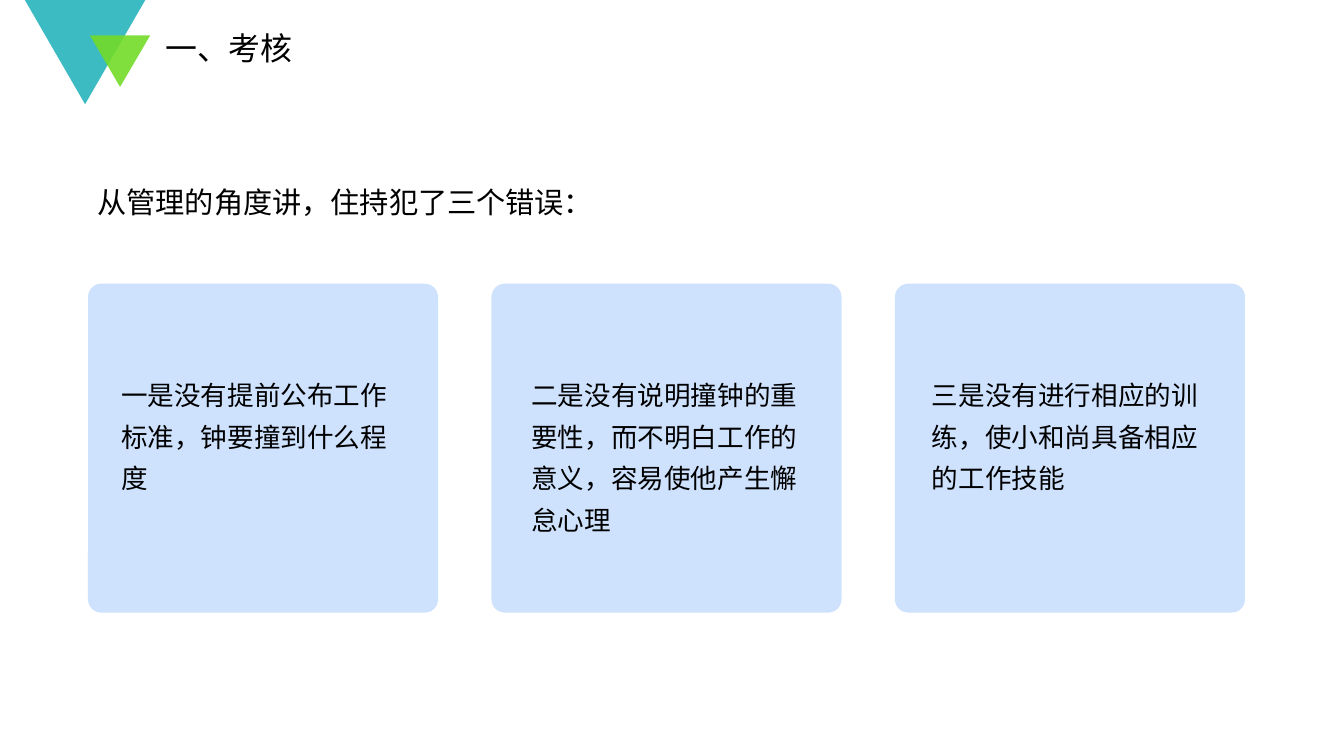
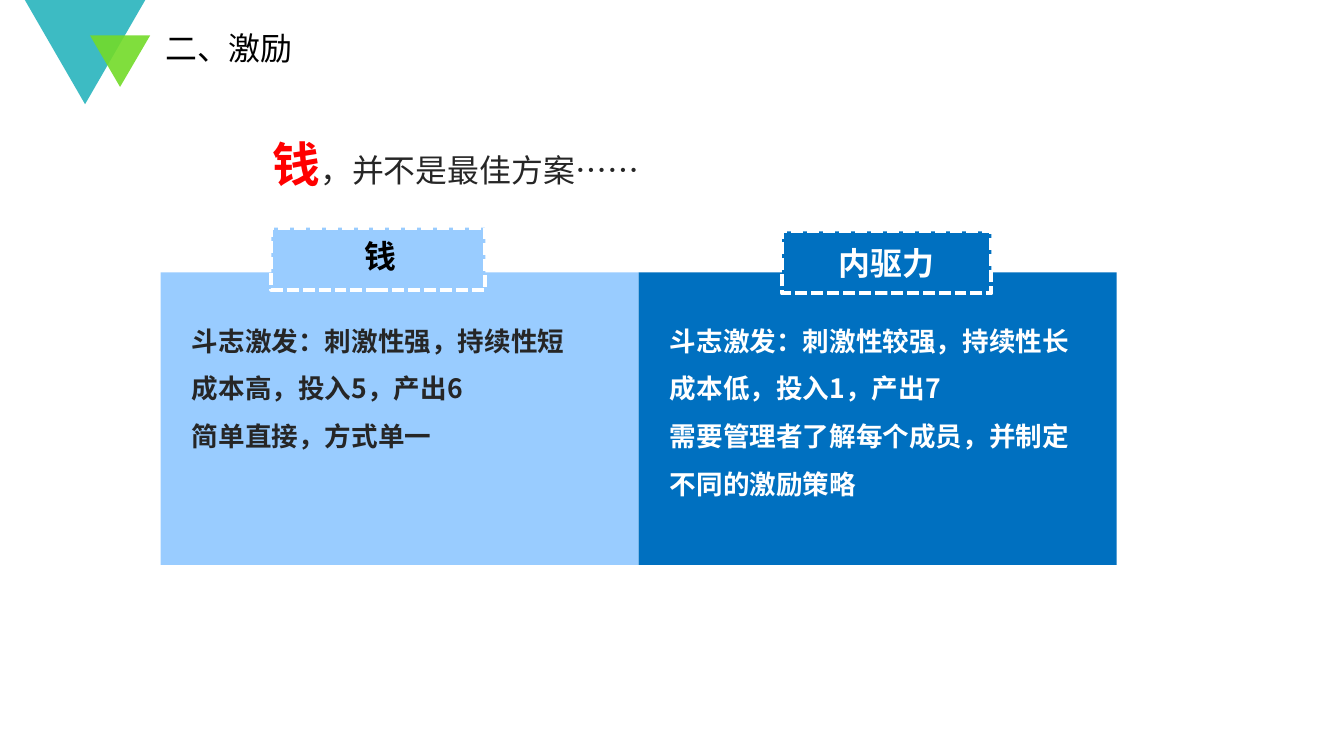
from dataclasses import dataclass

from lxml.etree import SubElement
from pptx import Presentation
from pptx.dml.color import RGBColor
from pptx.enum.dml import MSO_LINE_DASH_STYLE as Dash
from pptx.enum.shapes import MSO_SHAPE as Preset
from pptx.enum.text import MSO_ANCHOR as Anchor
from pptx.enum.text import MSO_AUTO_SIZE as AutoSize
from pptx.enum.text import PP_ALIGN as Align
from pptx.oxml.ns import qn
from pptx.shapes.autoshape import Shape
from pptx.slide import Slide
from pptx.util import Cm, Pt

CJK_FONT = "Noto Sans CJK SC"
BLACK, WHITE, DARK, RED = "000000", "FFFFFF", "262626", "FF0000"
TEAL, GREEN = "29B4BD", "73DB29"
CARD_BLUE, LIGHT_BLUE, DEEP_BLUE = "CEE2FE", "99CCFF", "0070C0"
CARD_LEFT, CARD_STEP = 2.34, 10.72
PANEL_LEFT, PANEL_TOP, PANEL_WIDTH, PANEL_HEIGHT = 4.27, 7.24, 12.7, 7.77


@dataclass(frozen=True)
class Box:
    """A rectangle measured in centimetres."""

    left: float
    top: float
    width: float
    height: float

    def lengths(self) -> tuple[Cm, Cm, Cm, Cm]:
        """Return the four measures as lengths."""
        return Cm(self.left), Cm(self.top), Cm(self.width), Cm(self.height)


@dataclass(frozen=True)
class Run:
    """A stretch of text with one format."""

    text: str
    size: float
    color: str = BLACK
    bold: bool = False
    font: str = CJK_FONT


@dataclass(frozen=True)
class Card:
    """The text of one card and where it stands."""

    text: str
    text_left: float
    text_height: float


@dataclass(frozen=True)
class Panel:
    """One side of the comparison with its label."""

    fill: str
    label: str
    label_color: str
    label_box: Box
    label_text_box: Box
    lines: tuple[str, ...]
    text_color: str
    text_height: float


CARDS = (
    Card("一是没有提前公布工作标准，钟要撞到什么程度", 2.97, 3.58),
    Card("二是没有说明撞钟的重要性，而不明白工作的意义，容易使他产生懈怠心理", 13.87, 4.7),
    Card("三是没有进行相应的训练，使小和尚具备相应的工作技能", 24.51, 3.58),
)
PANELS = (
    Panel(
        LIGHT_BLUE, "钱", BLACK,
        Box(7.21, 6.05, 5.69, 1.65), Box(7.47, 6.17, 5.26, 1.27),
        ("斗志激发：刺激性强，持续性短", "成本高，投入5，产出6", "简单直接，方式单一"),
        DARK, 3.96,
    ),
    Panel(
        DEEP_BLUE, "内驱力", WHITE,
        Box(20.78, 6.15, 5.56, 1.65), Box(20.78, 6.35, 5.56, 1.27),
        ("斗志激发：刺激性较强，持续性长", "成本低，投入1，产出7",
         "需要管理者了解每个成员，并制定不同的激励策略"),
        WHITE, 5.23,
    ),
)


def rgb(color: str) -> RGBColor:
    """Turn a hex string into a colour."""
    return RGBColor.from_string(color)


def add_block(slide: Slide, preset: Preset, box: Box, fill: str) -> Shape:
    """Add a plain filled shape without outline or shadow."""
    shape = slide.shapes.add_shape(preset, *box.lengths())
    shape.shadow.inherit = False
    shape.fill.solid()
    shape.fill.fore_color.rgb = rgb(fill)
    shape.line.fill.background()
    return shape


def add_text(
    slide: Slide,
    box: Box,
    paragraphs: list[list[Run]],
    *,
    align: Align = Align.LEFT,
    anchor: Anchor = Anchor.TOP,
    spacing: float | None = None,
    inset: bool = True,
) -> None:
    """Add a wrapping text box made of formatted runs."""
    frame = slide.shapes.add_textbox(*box.lengths()).text_frame
    frame.word_wrap = True
    frame.auto_size = AutoSize.SHAPE_TO_FIT_TEXT
    frame.vertical_anchor = anchor
    if not inset:
        frame.margin_left = frame.margin_right = Cm(0)
        frame.margin_top = frame.margin_bottom = Cm(0)
    for index, runs in enumerate(paragraphs):
        paragraph = frame.add_paragraph() if index else frame.paragraphs[0]
        paragraph.alignment = align
        paragraph.line_spacing = spacing
        for item in runs:
            run = paragraph.add_run()
            run.text = item.text
            run.font.size = Pt(item.size)
            run.font.bold = item.bold
            run.font.name = item.font
            run.font.color.rgb = rgb(item.color)
            SubElement(run.font._element, qn("a:ea"), typeface=CJK_FONT)


def add_triangle(slide: Slide, box: Box, fill: str) -> None:
    """Add a slightly transparent triangle that points down."""
    shape = add_block(slide, Preset.ISOSCELES_TRIANGLE, box, fill)
    shape.rotation = 180
    color = shape._element.spPr.find(qn("a:solidFill")).find(qn("a:srgbClr"))
    SubElement(color, qn("a:alpha"), val="90000")


def add_titled_slide(presentation: Presentation, title: str) -> Slide:
    """Add a blank slide with the shared corner and title."""
    slide = presentation.slides.add_slide(presentation.slide_layouts[6])
    add_triangle(slide, Box(0.66, 0, 3.2, 2.77), TEAL)
    add_triangle(slide, Box(2.39, 0.94, 1.6, 1.37), GREEN)
    add_text(
        slide, Box(4.39, 0.76, 27.76, 1.02), [[Run(title, 24, font="Arial")]],
        anchor=Anchor.MIDDLE, inset=False,
    )
    return slide


def build_assessment(presentation: Presentation) -> None:
    """Build the slide with the three mistakes."""
    slide = add_titled_slide(presentation, "一、考核")
    add_text(
        slide, Box(2.34, 4.78, 20.35, 1.19),
        [[Run("从管理的角度讲，住持犯了三个错误：", 22)]],
    )
    for index, card in enumerate(CARDS):
        card_box = Box(CARD_LEFT + index * CARD_STEP, 7.54, 9.3, 8.74)
        block = add_block(slide, Preset.ROUNDED_RECTANGLE, card_box, CARD_BLUE)
        block.adjustments[0] = 0.04
        text_box = Box(card.text_left, 9.7, 7.65, card.text_height)
        add_text(slide, text_box, [[Run(card.text, 20)]], spacing=1.3)


def add_panel(slide: Slide, panel: Panel, left: float) -> None:
    """Add one side of the comparison with its dashed label."""
    panel_box = Box(left, PANEL_TOP, PANEL_WIDTH, PANEL_HEIGHT)
    add_block(slide, Preset.RECTANGLE, panel_box, panel.fill)
    label = add_block(slide, Preset.RECTANGLE, panel.label_box, panel.fill)
    label.line.color.rgb = rgb(WHITE)
    label.line.width = Pt(3)
    label.line.dash_style = Dash.SQUARE_DOT
    add_text(
        slide, panel.label_text_box,
        [[Run(panel.label, 24, panel.label_color, True)]], align=Align.CENTER,
    )
    add_text(
        slide, Box(left + 0.58, 8.08, 11.61, panel.text_height),
        [[Run(line, 20, panel.text_color, True)] for line in panel.lines],
        spacing=1.5,
    )


def build_motivation(presentation: Presentation) -> None:
    """Build the slide that compares money with inner drive."""
    slide = add_titled_slide(presentation, "二、激励")
    for index, panel in enumerate(PANELS):
        add_panel(slide, panel, PANEL_LEFT + index * PANEL_WIDTH)
    add_text(
        slide, Box(6.99, 3.45, 15.47, 1.8),
        [[Run("钱", 36, RED, True), Run("，并不是最佳方案……", 24, DARK)]],
    )


def main() -> None:
    """Build and save the presentation."""
    presentation = Presentation()
    presentation.slide_width = Cm(35.71)
    presentation.slide_height = Cm(20.09)
    build_assessment(presentation)
    build_motivation(presentation)
    presentation.save("out.pptx")


if __name__ == "__main__":
    main()
